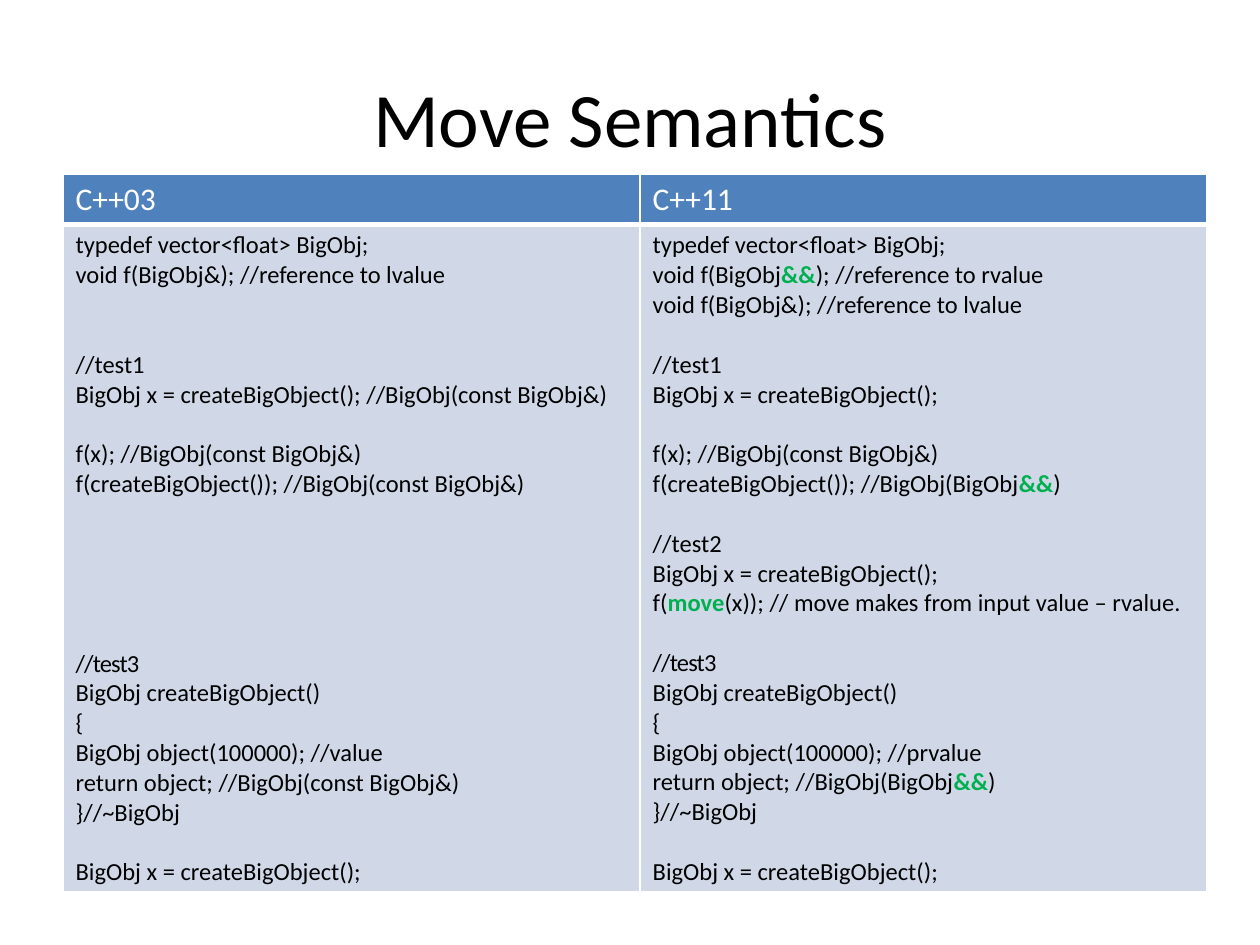
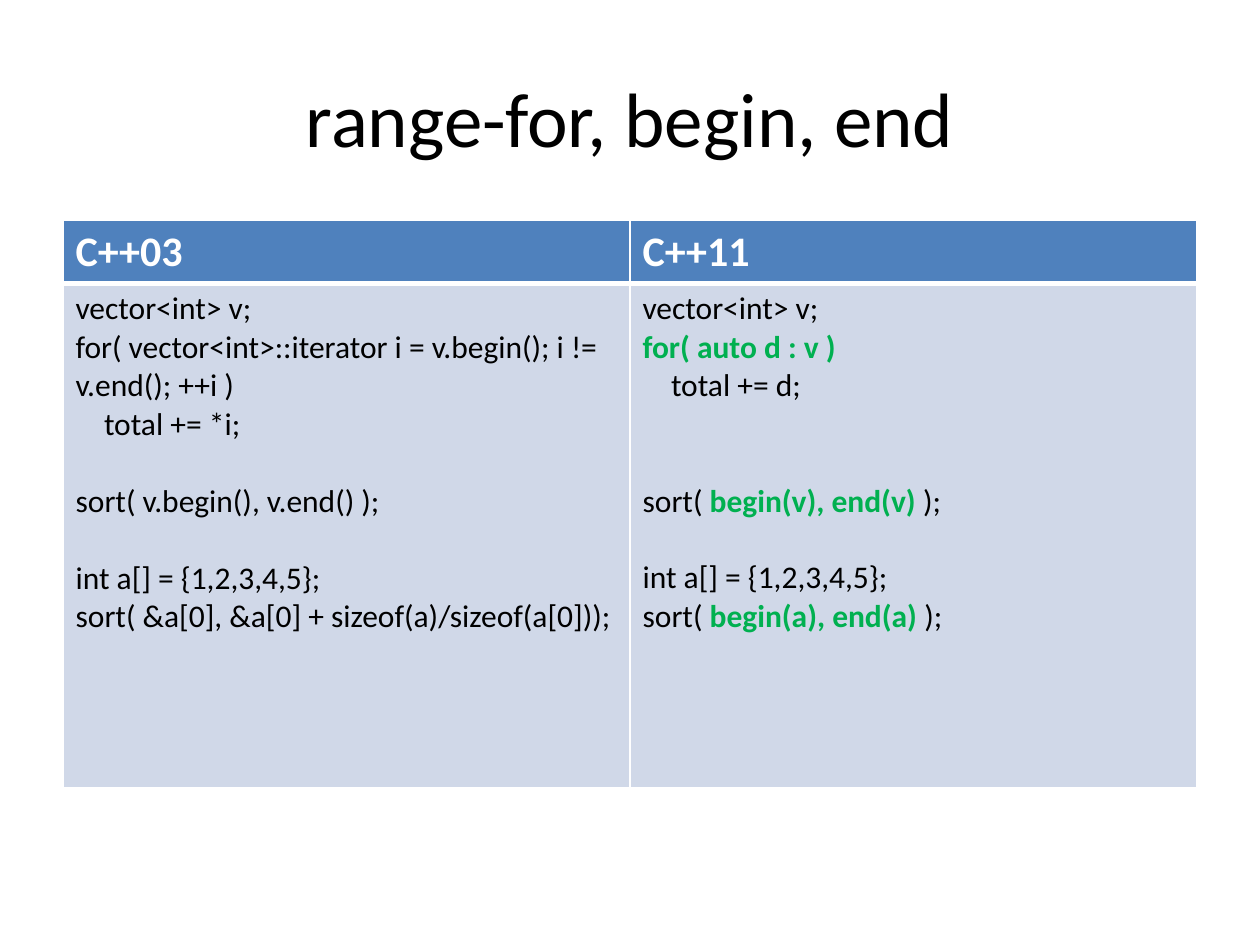
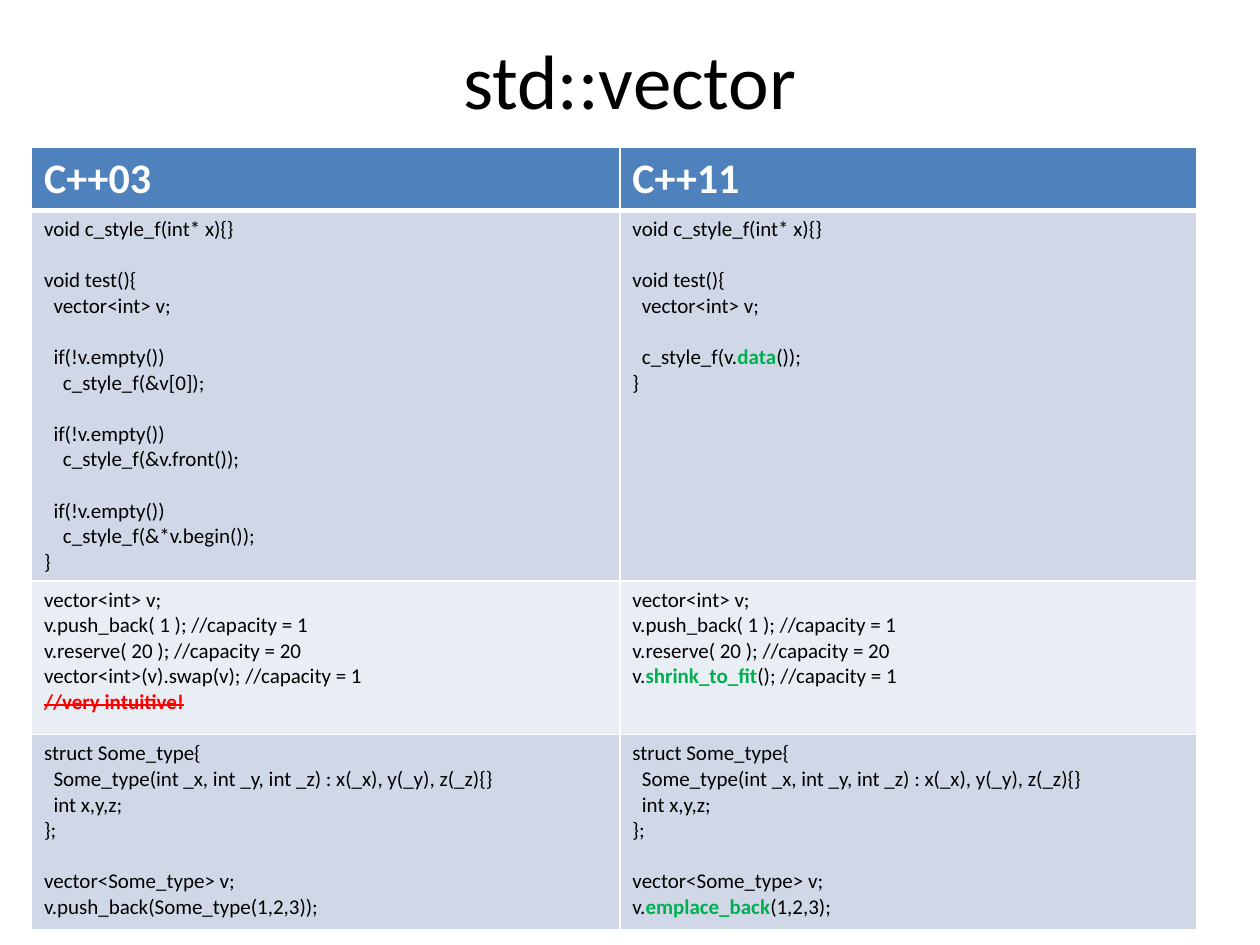
"""Build three slides that compare C++03 with C++11 code side by side."""
from typing import NamedTuple

from lxml import etree
from pptx import Presentation
from pptx.dml.color import RGBColor
from pptx.enum.text import MSO_ANCHOR, PP_ALIGN
from pptx.oxml.ns import qn
from pptx.util import Inches, Pt

CENTER = PP_ALIGN.CENTER
MIDDLE = MSO_ANCHOR.MIDDLE
FONT = "Calibri"
LINE_HEIGHT = 1.22
COLORS = {
    "text": "000000",
    "white": "FFFFFF",
    "header": "4F81BD",
    "band_dark": "D0D8E8",
    "band_light": "E9EDF4",
    "new": "00B050",
    "bad": "FF0000",
}
HEADERS = ("C++03", "C++11")


class Style(NamedTuple):
    color: str = "text"
    bold: bool = False
    strike: bool = False
    spacing: float = 0


class Comparison(NamedTuple):
    title: str
    title_top: float
    left: float
    top: float
    cols: tuple[float, ...]
    rows: tuple[float, ...]
    header_size: int
    header_bold: bool
    code_size: int
    code: list[tuple[str, str]]


PLAIN = Style()
MARKS = {
    "`": Style("new", bold=True),
    "^": Style("bad", bold=True, strike=True),
    "§": Style(spacing=-0.5),
}

MOVE_03 = """typedef vector<float> BigObj;
void f(BigObj&); //reference to lvalue


//test1
BigObj x = createBigObject(); //BigObj(const BigObj&)

f(x); //BigObj(const BigObj&)
f(createBigObject()); //BigObj(const BigObj&)





§//test3§
BigObj createBigObject()
{
BigObj object(100000); //value
return object; //BigObj(const BigObj&)
}//~BigObj

BigObj x = createBigObject();"""

MOVE_11 = """typedef vector<float> BigObj;
void f(BigObj`&&`); //reference to rvalue
void f(BigObj&); //reference to lvalue

//test1
BigObj x = createBigObject();

f(x); //BigObj(const BigObj&)
f(createBigObject()); //BigObj(BigObj`&&`)

//test2
BigObj x = createBigObject();
f(`move`(x)); // move makes from input value – rvalue.

§//test3§
BigObj createBigObject()
{
BigObj object(100000); //prvalue
return object; //BigObj(BigObj`&&`)
}//~BigObj

BigObj x = createBigObject();"""

RANGE_03 = """vector<int> v;
for( vector<int>::iterator i = v.begin(); i != v.end(); ++i )
    total += *i;

sort( v.begin(), v.end() );

int a[] = {1,2,3,4,5};
sort( &a[0], &a[0] + sizeof(a)/sizeof(a[0]));"""

RANGE_11 = """vector<int> v;
`for( auto d : v )`
    total += d;


sort( `begin(v), end(v)` );

int a[] = {1,2,3,4,5};
sort( `begin(a), end(a)` );"""

DATA_HEAD = """void c_style_f(int* x){}

void test(){
  vector<int> v;
"""

DATA_03 = DATA_HEAD + """
  if(!v.empty())
    c_style_f(&v[0]);

  if(!v.empty())
    c_style_f(&v.front());

  if(!v.empty())
    c_style_f(&*v.begin());
}"""

DATA_11 = DATA_HEAD + """
  c_style_f(v.`data`());
}"""

CAPACITY_HEAD = """vector<int> v;
v.push_back( 1 ); //capacity = 1
v.reserve( 20 ); //capacity = 20
"""

CAPACITY_03 = CAPACITY_HEAD + """vector<int>(v).swap(v); //capacity = 1
^//very intuitive!^"""

CAPACITY_11 = CAPACITY_HEAD + "v.`shrink_to_fit`(); //capacity = 1"

STRUCT_HEAD = """struct Some_type{
  Some_type(int _x, int _y, int _z) : x(_x), y(_y), z(_z){}
  int x,y,z;
};

vector<Some_type> v;
"""

STRUCT_03 = STRUCT_HEAD + "v.push_back(Some_type(1,2,3));"
STRUCT_11 = STRUCT_HEAD + "v.`emplace_back`(1,2,3);"

SLIDES = [
    Comparison("Move Semantics", 0.3, 0.5, 1.38, (4.58, 4.5), (0.4, 5.3),
               18, False, 14, [(MOVE_03, MOVE_11)]),
    Comparison("range-for, begin, end", 0.3, 0.5, 1.75, (4.5, 4.5), (0.5, 4),
               24, True, 18, [(RANGE_03, RANGE_11)]),
    Comparison("std::vector", 0, 0.25, 1.17, (4.67, 4.58),
               (0.5, 2.94, 1.22, 1.55), 24, True, 12,
               [(DATA_03, DATA_11), (CAPACITY_03, CAPACITY_11),
                (STRUCT_03, STRUCT_11)]),
]


def rgb(name: str) -> RGBColor:
    """Return the named colour."""
    return RGBColor.from_string(COLORS[name])


def add_run(p, text: str, size: int, style: Style = PLAIN) -> None:
    """Add one styled run to a paragraph."""
    r = p.add_run()
    r.text = text
    r.font.name = FONT
    r.font.size = Pt(size)
    r.font.bold = style.bold
    r.font.color.rgb = rgb(style.color)
    rpr = r._r.get_or_add_rPr()
    if style.strike:
        rpr.set("strike", "sngStrike")
    if style.spacing:
        rpr.set("spc", str(round(style.spacing * 100)))


def add_code(tf, code: str, size: int) -> None:
    """Write code lines, turning empty lines into paragraph spacing."""
    p = tf.paragraphs[0]
    gap = 0
    for number, line in enumerate(code.splitlines()):
        if not line:
            gap += 1
            continue
        if number:
            p = tf.add_paragraph()
        if gap:
            p.space_before = Pt(round(gap * size * LINE_HEIGHT, 1))
            gap = 0
        mark = next((m for m in MARKS if m in line), "`")
        for i, part in enumerate(line.split(mark)):
            if part:
                add_run(p, part, size, MARKS[mark] if i % 2 else PLAIN)


def format_cell(cell, fill: str, top: int, bottom: int) -> None:
    """Give a cell white borders and a solid fill."""
    tcpr = cell._tc.get_or_add_tcPr()
    for side, width in (("L", 1), ("R", 1), ("T", top), ("B", bottom)):
        ln = etree.SubElement(tcpr, qn(f"a:ln{side}"), w=str(Pt(width)))
        solid = etree.SubElement(ln, qn("a:solidFill"))
        etree.SubElement(solid, qn("a:srgbClr"), val=COLORS["white"])
    cell.fill.solid()
    cell.fill.fore_color.rgb = rgb(fill)


def add_title(s, text: str, top: float) -> None:
    """Add the centred slide title."""
    sp = s.shapes.add_textbox(Inches(0.5), Inches(top), Inches(9), Inches(1.25))
    tf = sp.text_frame
    tf.word_wrap = True
    tf.vertical_anchor = MIDDLE
    p = tf.paragraphs[0]
    p.alignment = CENTER
    add_run(p, text, 44)


def add_comparison(s, c: Comparison) -> None:
    """Add the table with one column per language version."""
    table = s.shapes.add_table(
        len(c.rows), len(c.cols), Inches(c.left), Inches(c.top),
        Inches(sum(c.cols)), Inches(sum(c.rows))).table
    table.first_row = table.horz_banding = False
    for col, width in zip(table.columns, c.cols):
        col.width = Inches(width)
    for row, height in zip(table.rows, c.rows):
        row.height = Inches(height)
    for j, header in enumerate(HEADERS):
        cell = table.cell(0, j)
        format_cell(cell, "header", 1, 3)
        add_run(cell.text_frame.paragraphs[0], header, c.header_size,
                Style("white", c.header_bold))
    for i, pair in enumerate(c.code, 1):
        for j, code in enumerate(pair):
            cell = table.cell(i, j)
            format_cell(cell, "band_dark" if i % 2 else "band_light",
                        3 if i == 1 else 1, 1)
            add_code(cell.text_frame, code, c.code_size)


def main() -> None:
    """Build and save the presentation."""
    prs = Presentation()
    prs.slide_width, prs.slide_height = Inches(10), Inches(7.5)
    for c in SLIDES:
        s = prs.slides.add_slide(prs.slide_layouts[6])
        add_title(s, c.title, c.title_top)
        add_comparison(s, c)
    prs.save("out.pptx")


if __name__ == "__main__":
    main()
